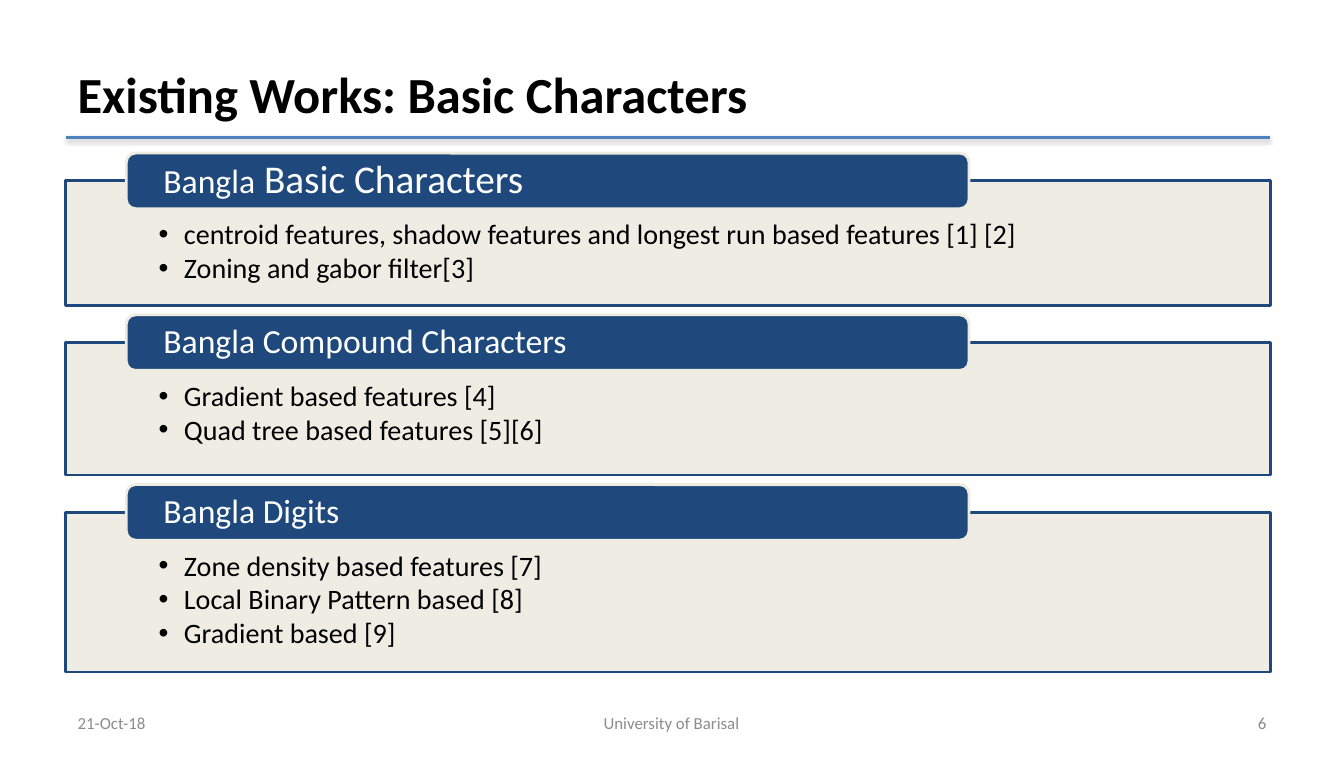
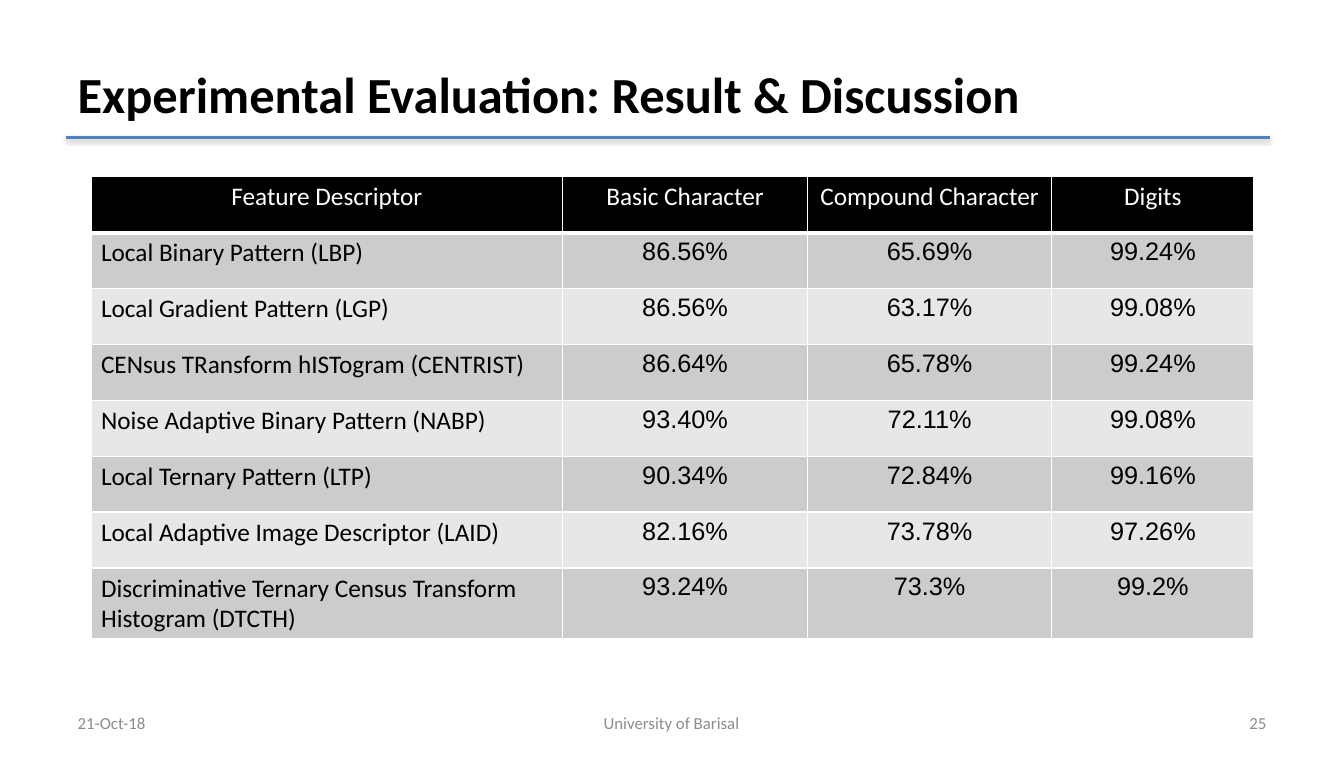
from dataclasses import dataclass

from lxml import etree
from pptx import Presentation
from pptx.dml.color import RGBColor
from pptx.enum.shapes import MSO_CONNECTOR, MSO_SHAPE
from pptx.enum.text import MSO_ANCHOR, PP_ALIGN
from pptx.oxml.ns import qn
from pptx.util import Inches, Pt


@dataclass(frozen=True)
class Theme:
    black: str = "000000"
    white: str = "FFFFFF"
    navy: str = "1F497D"
    cream: str = "EEECE1"
    rule: str = "4F81BD"
    muted: str = "8C8C8C"
    bands: tuple = ("CCCCCC", "E7E7E7")
    font: str = "Calibri"
    number_font: str = "Arial"
    title: int = 36
    heading_large: int = 28
    heading: int = 24
    bullet: int = 20
    table: int = 18
    footer: int = 12


def child(parent, tag, **attributes):
    return etree.SubElement(parent, qn(tag), {k: str(v) for k, v in attributes.items()})


class Deck:
    WIDTH, HEIGHT = Inches(13.3), Inches(7.5)
    COLUMNS, ROWS = 133, 75
    LEFT, SPAN = 6.5, 119.2

    def __init__(self, theme):
        self.theme = theme
        self.file = Presentation()
        self.file.slide_width, self.file.slide_height = self.WIDTH, self.HEIGHT
        self.slide = None

    def x(self, columns):
        return round(self.WIDTH * columns / self.COLUMNS)

    def y(self, rows):
        return round(self.HEIGHT * rows / self.ROWS)

    def box(self, left, top, width, height):
        return self.x(left), self.y(top), self.x(width), self.y(height)

    def add_slide(self, title, number):
        t = self.theme
        self.slide = self.file.slides.add_slide(self.file.slide_layouts[6])
        self.text((6.7, 3, 119.7, 12.5), title, t.title, t.black, bold=True)
        self.title_rule(13.6)
        for left, width, words, align in (
            (6.7, 31, "21-Oct-18", PP_ALIGN.LEFT),
            (45.4, 42.1, "University of Barisal", PP_ALIGN.CENTER),
            (95.3, 31, str(number), PP_ALIGN.RIGHT),
        ):
            self.text((left, 69.5, width, 4), words, t.footer, t.muted, align)

    def run(self, paragraph, words, size, color, font=None, bold=False):
        run = paragraph.add_run()
        run.text = words
        run.font.name = font or self.theme.font
        run.font.size = Pt(size)
        run.font.bold = bold
        run.font.color.rgb = RGBColor.from_string(color)

    def text(self, area, words, size, color, align=PP_ALIGN.LEFT, bold=False):
        frame = self.slide.shapes.add_textbox(*self.box(*area)).text_frame
        frame.word_wrap = True
        frame.vertical_anchor = MSO_ANCHOR.MIDDLE
        frame.paragraphs[0].alignment = align
        self.run(frame.paragraphs[0], words, size, color, bold=bold)

    def title_rule(self, top):
        y = self.y(top)
        line = self.slide.shapes.add_connector(
            MSO_CONNECTOR.STRAIGHT, self.x(self.LEFT), y, self.x(self.LEFT + self.SPAN), y)
        line.line.color.rgb = RGBColor.from_string(self.theme.rule)
        line.line.width = Pt(2)
        effects = child(line._element.spPr, "a:effectLst")
        shadow = child(effects, "a:outerShdw", blurRad=Pt(3.1), dist=Pt(1.6),
                       dir=5400000, rotWithShape=0)
        child(child(shadow, "a:srgbClr", val=self.theme.black), "a:alpha", val=38000)

    def shape(self, kind, area, fill, line, margins, anchor):
        shape = self.slide.shapes.add_shape(kind, *self.box(*area))
        shape.shadow.inherit = False
        shape.fill.solid()
        shape.fill.fore_color.rgb = RGBColor.from_string(fill)
        shape.line.color.rgb = RGBColor.from_string(line)
        shape.line.width = Pt(2)
        frame = shape.text_frame
        frame.word_wrap = True
        frame.vertical_anchor = anchor
        side, top, bottom = margins
        frame.margin_left = frame.margin_right = self.x(side)
        frame.margin_top, frame.margin_bottom = self.y(top), self.y(bottom)
        return shape

    def panel(self, top, height, heading, bullets):
        t = self.theme
        body = self.shape(MSO_SHAPE.RECTANGLE, (self.LEFT, top, self.SPAN, height),
                          t.cream, t.navy, (9.2, 3.9, 1.6), MSO_ANCHOR.TOP)
        color = body.fill._xPr.find(qn("a:solidFill")).find(qn("a:srgbClr"))
        child(color, "a:alpha", val=90000)
        for index, words in enumerate(bullets):
            frame = body.text_frame
            paragraph = frame.add_paragraph() if index else frame.paragraphs[0]
            self.bullet(paragraph, words)
        tab = self.shape(MSO_SHAPE.ROUNDED_RECTANGLE, (12.5, top - 2.75, 83.4, 5.5),
                         t.navy, t.cream, (3.4, 0, 0), MSO_ANCHOR.MIDDLE)
        paragraph = tab.text_frame.paragraphs[0]
        paragraph.alignment = PP_ALIGN.LEFT
        paragraph.line_spacing = 0.9
        for words, size in heading:
            self.run(paragraph, words, size, t.white)

    def bullet(self, paragraph, words):
        paragraph.alignment = PP_ALIGN.LEFT
        paragraph.line_spacing = 0.9
        paragraph.space_after = Pt(2.4)
        properties = paragraph._p.get_or_add_pPr()
        properties.set("marL", str(self.x(2.5)))
        properties.set("indent", str(-self.x(2.5)))
        child(properties, "a:buFont", typeface=self.theme.number_font)
        child(properties, "a:buChar", char="•")
        self.run(paragraph, words, self.theme.bullet, self.theme.black)

    def table(self, left, top, widths, row_height, rows):
        t = self.theme
        area = self.box(left, top, sum(widths), row_height * len(rows))
        table = self.slide.shapes.add_table(len(rows), len(widths), *area).table
        for column, width in zip(table.columns, widths):
            column.width = self.x(width)
        for r, values in enumerate(rows):
            table.rows[r].height = self.y(row_height)
            header = r == 0
            fill = t.black if header else t.bands[(r - 1) % 2]
            for c, words in enumerate(values):
                cell = table.cell(r, c)
                self.borders(cell, 3 if header else 1)
                cell.fill.solid()
                cell.fill.fore_color.rgb = RGBColor.from_string(fill)
                paragraph = cell.text_frame.paragraphs[0]
                paragraph.alignment = PP_ALIGN.CENTER if header or c else PP_ALIGN.LEFT
                self.run(paragraph, words, t.table, t.white if header else t.black,
                         t.number_font if c and not header else t.font)

    def borders(self, cell, bottom):
        properties = cell._tc.get_or_add_tcPr()
        for tag, width in (("a:lnL", 1), ("a:lnR", 1), ("a:lnT", 1), ("a:lnB", bottom)):
            edge = child(properties, tag, w=Pt(width))
            child(child(edge, "a:solidFill"), "a:srgbClr", val=self.theme.white)


theme = Theme()
deck = Deck(theme)

deck.add_slide("Existing Works: Basic Characters", 6)
panels = (
    (12.3, (("Bangla", theme.heading), (" Basic Characters", theme.heading_large)),
     ("centroid features, shadow features and longest run based features [1] [2]",
      "Zoning and gabor filter[3]")),
    (13.1, (("Bangla Compound Characters", theme.heading),),
     ("Gradient based features [4]", "Quad tree based features [5][6]")),
    (15.8, (("Bangla Digits", theme.heading),),
     ("Zone density based features [7]", "Local Binary Pattern based [8]",
      "Gradient based [9]")),
)
panel_top, panel_gap = 17.9, 3.7
for height, heading, bullets in panels:
    deck.panel(panel_top, height, heading, bullets)
    panel_top += height + panel_gap

deck.add_slide("Experimental Evaluation: Result & Discussion", 25)
deck.table(9, 17.5, (46.7, 24.2, 24.2, 20), 5.53, (
    ("Feature Descriptor", "Basic Character", "Compound Character", "Digits"),
    ("Local Binary Pattern (LBP)", "86.56%", "65.69%", "99.24%"),
    ("Local Gradient Pattern (LGP)", "86.56%", "63.17%", "99.08%"),
    ("CENsus TRansform hISTogram (CENTRIST)", "86.64%", "65.78%", "99.24%"),
    ("Noise Adaptive Binary Pattern (NABP)", "93.40%", "72.11%", "99.08%"),
    ("Local Ternary Pattern (LTP)", "90.34%", "72.84%", "99.16%"),
    ("Local Adaptive Image Descriptor (LAID)", "82.16%", "73.78%", "97.26%"),
    ("Discriminative Ternary Census Transform Histogram (DTCTH)",
     "93.24%", "73.3%", "99.2%"),
))

deck.file.save("out.pptx")
